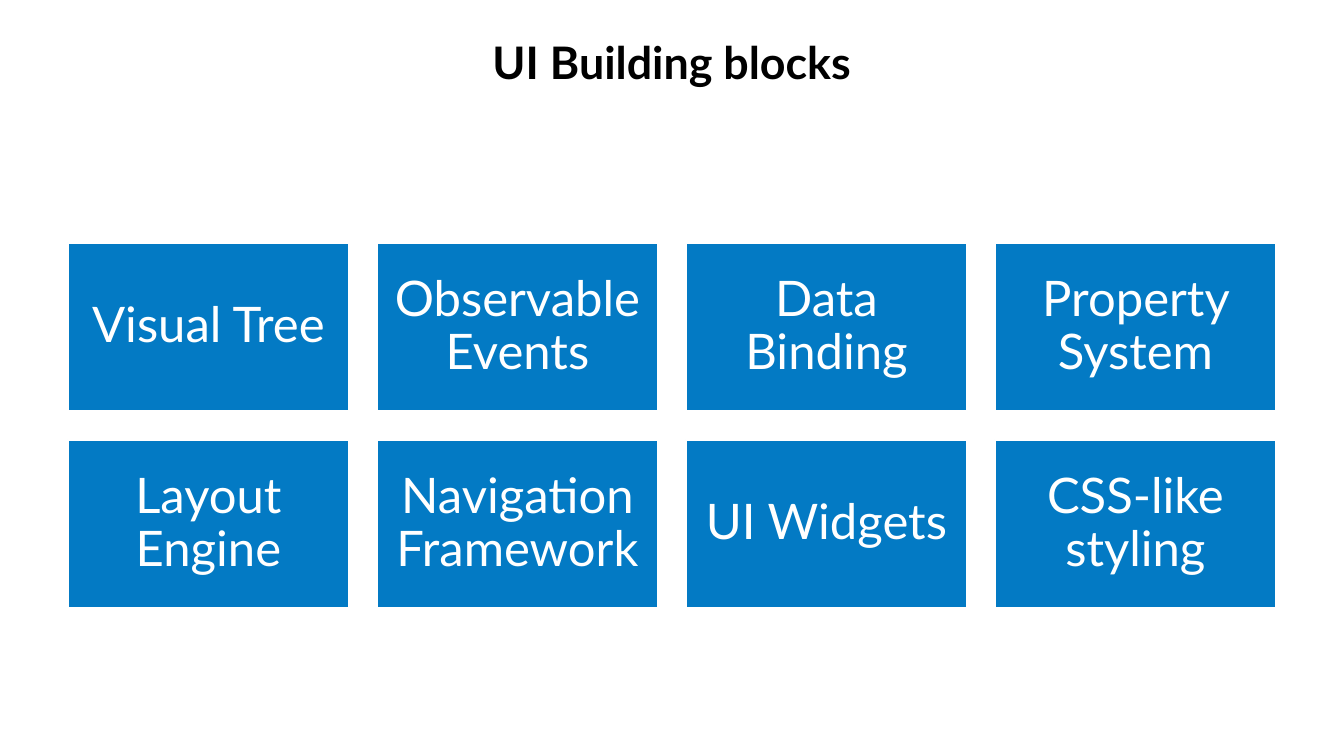
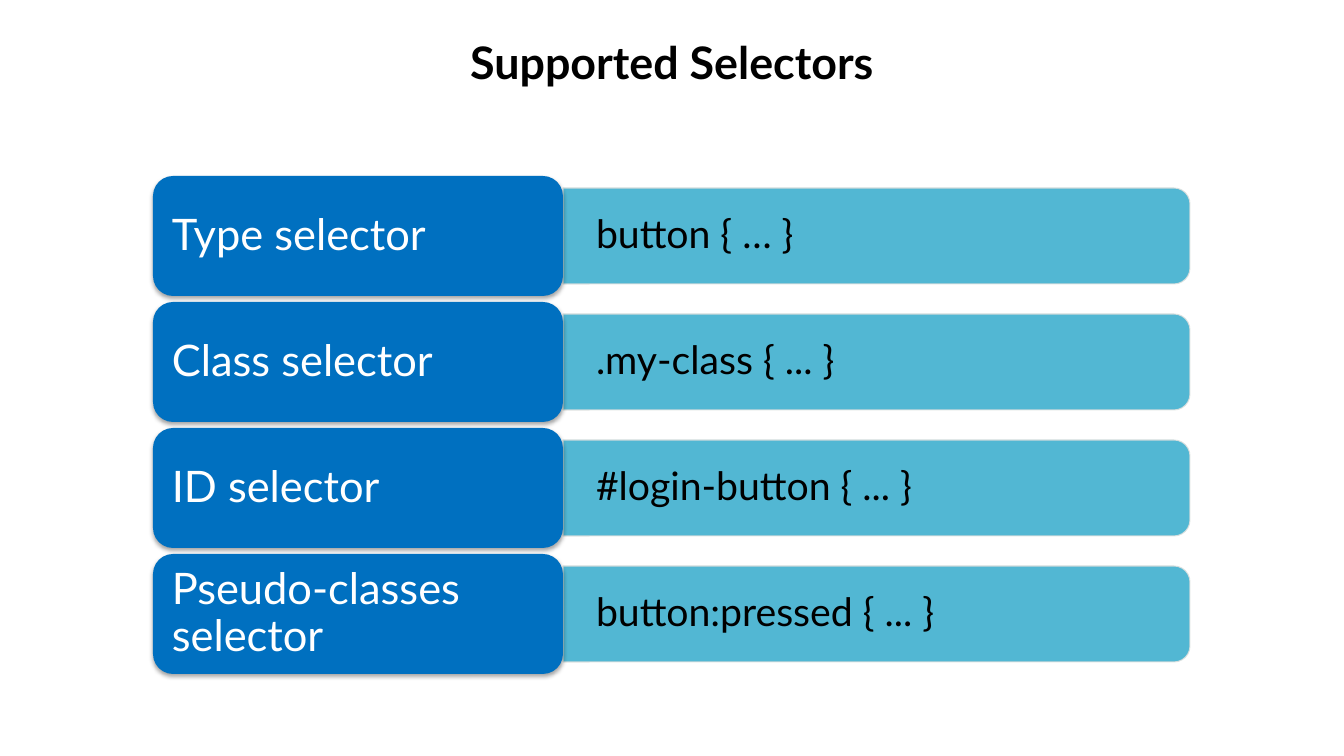
from lxml import etree
from pptx import Presentation
from pptx import util as u
from pptx.dml.color import RGBColor
from pptx.enum import shapes, text
from pptx.oxml import ns

BLOCKS_TITLE = "UI Building blocks"
BLOCKS = [
    ["Visual Tree", "Observable Events", "Data Binding", "Property System"],
    ["Layout Engine", "Navigation Framework", "UI Widgets", "CSS-like styling"],
]
SELECTORS_TITLE = "Supported Selectors"
SELECTORS = [
    ("Type selector", "button { … }"),
    ("Class selector", ".my-class { ... }"),
    ("ID selector", "#login-button { ... }"),
    ("Pseudo-classes selector", "button:pressed { ... }"),
]

FONT = "Lato"
BLACK = RGBColor(0x00, 0x00, 0x00)
WHITE = RGBColor(0xFF, 0xFF, 0xFF)
BLOCK_BLUE = RGBColor(0x03, 0x7A, 0xC4)
LABEL_BLUE = RGBColor(0x00, 0x70, 0xC0)
BAR_TEAL = RGBColor(0x40, 0xB0, 0xCF)
BAR_EDGE = RGBColor(0xDC, 0xE0, 0xDE)
BAR_OPACITY = 90

SLIDE_WIDTH, SLIDE_HEIGHT = 1344, 756
EMU_PER_PX = 914400 / 100.8
MARGIN = 68
BLOCK_TOP, BLOCK_WIDTH, BLOCK_HEIGHT = 243, 281, 168
BLOCK_GAP_X, BLOCK_GAP_Y = 28, 29
LABEL_LEFT, LABEL_TOP, LABEL_WIDTH, LABEL_HEIGHT, LABEL_GAP = 153, 176, 410, 120, 6
BAR_WIDTH, BAR_HEIGHT = 627, 96

LEFT, CENTER = text.PP_ALIGN.LEFT, text.PP_ALIGN.CENTER
TOP, MIDDLE = text.MSO_ANCHOR.TOP, text.MSO_ANCHOR.MIDDLE
SHAPE = shapes.MSO_SHAPE


def px(*lengths):
    return [u.Emu(round(length * EMU_PER_PX)) for length in lengths]


def write(shape, words, size, color, align, inset, anchor=MIDDLE, bold=False, spacing=0.9):
    """Fill a shape with one paragraph; inset is (horizontal, vertical) in px."""
    frame = shape.text_frame
    frame.text = words
    frame.word_wrap = True
    frame.vertical_anchor = anchor
    frame.margin_left, frame.margin_top = px(*inset)
    frame.margin_right, frame.margin_bottom = px(*inset)
    paragraph = frame.paragraphs[0]
    paragraph.alignment = align
    paragraph.line_spacing = spacing
    font = paragraph.runs[0].font
    font.name, font.size, font.bold = FONT, u.Pt(size), bold
    font.color.rgb = color


def add_box(slide, kind, box, fill, edge=None, edge_width=0):
    shape = slide.shapes.add_shape(kind, *px(*box))
    shape.shadow.inherit = False
    shape.fill.solid()
    shape.fill.fore_color.rgb = fill
    if edge is None:
        shape.line.fill.background()
    else:
        shape.line.color.rgb = edge
        shape.line.width = u.Pt(edge_width)
    return shape


def set_opacity(parent, percent):
    """Apply an opacity to every colour below an XML element."""
    for color in parent.iter(ns.qn("a:srgbClr")):
        etree.SubElement(color, ns.qn("a:alpha"), val=str(percent * 1000))


def add_drop_shadow(shape):
    effects = shape.element.spPr.find(ns.qn("a:effectLst"))
    shadow = etree.SubElement(
        effects, ns.qn("a:outerShdw"), blurRad=str(u.Pt(3.1)), dist=str(u.Pt(1.8)),
        dir="5400000", rotWithShape="0")
    etree.SubElement(shadow, ns.qn("a:srgbClr"), val=str(BLACK))
    set_opacity(shadow, 35)


def add_slide(presentation, title):
    slide = presentation.slides.add_slide(presentation.slide_layouts[6])
    box = slide.shapes.add_textbox(*px(MARGIN, 30, SLIDE_WIDTH - 2 * MARGIN, 126))
    write(box, title, 32, BLACK, CENTER, (10, 5), TOP, bold=True, spacing=1.0)
    return slide


def add_blocks(slide):
    for row, names in enumerate(BLOCKS):
        for column, name in enumerate(names):
            left = MARGIN + column * (BLOCK_WIDTH + BLOCK_GAP_X)
            top = BLOCK_TOP + row * (BLOCK_HEIGHT + BLOCK_GAP_Y)
            block = add_box(slide, SHAPE.RECTANGLE, (left, top, BLOCK_WIDTH, BLOCK_HEIGHT),
                            BLOCK_BLUE, WHITE, 2)
            write(block, name, 35, WHITE, CENTER, (15, 15))


def add_bar(slide, left, middle, code):
    """Draw a bar rounded on its right side, with upright code on top."""
    top = middle - BAR_HEIGHT / 2
    upright = (left + (BAR_WIDTH - BAR_HEIGHT) / 2, middle - BAR_WIDTH / 2,
               BAR_HEIGHT, BAR_WIDTH)
    bar = add_box(slide, SHAPE.ROUND_2_SAME_RECTANGLE, upright, BAR_TEAL, BAR_EDGE, 0.75)
    bar.rotation = 90
    set_opacity(bar.element.spPr, BAR_OPACITY)
    box = slide.shapes.add_textbox(*px(left, top, BAR_WIDTH, BAR_HEIGHT))
    write(box, code, 28, BLACK, LEFT, (33, 14))


def add_selectors(slide):
    for row, (name, code) in enumerate(SELECTORS):
        top = LABEL_TOP + row * (LABEL_HEIGHT + LABEL_GAP)
        add_bar(slide, LABEL_LEFT + LABEL_WIDTH, top + LABEL_HEIGHT / 2, code)
        label = add_box(slide, SHAPE.ROUNDED_RECTANGLE,
                        (LABEL_LEFT, top, LABEL_WIDTH, LABEL_HEIGHT), LABEL_BLUE)
        add_drop_shadow(label)
        write(label, name, 31, WHITE, LEFT, (13, 6))


def main():
    presentation = Presentation()
    presentation.slide_width, presentation.slide_height = px(SLIDE_WIDTH, SLIDE_HEIGHT)
    add_blocks(add_slide(presentation, BLOCKS_TITLE))
    add_selectors(add_slide(presentation, SELECTORS_TITLE))
    presentation.save("out.pptx")


if __name__ == "__main__":
    main()
